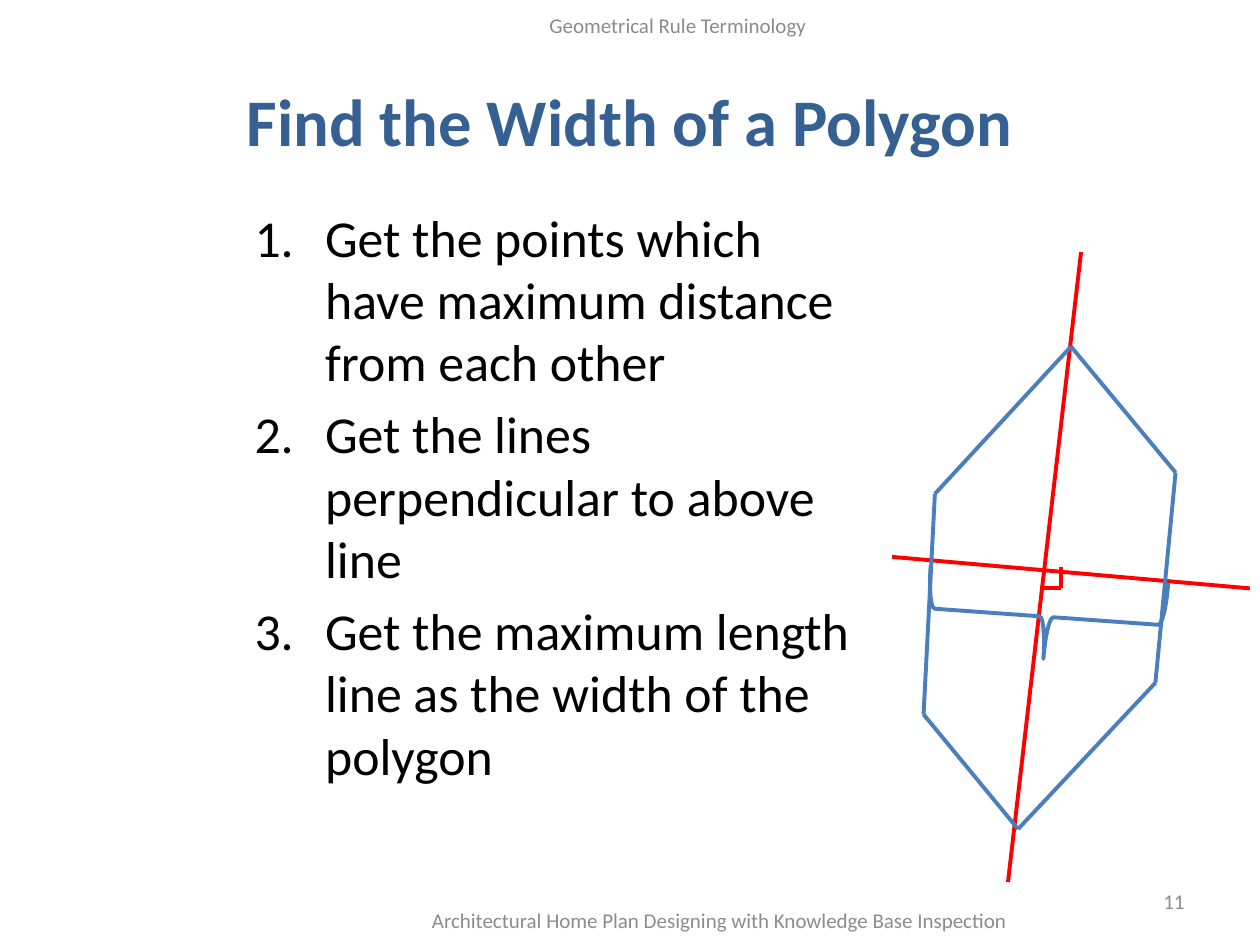
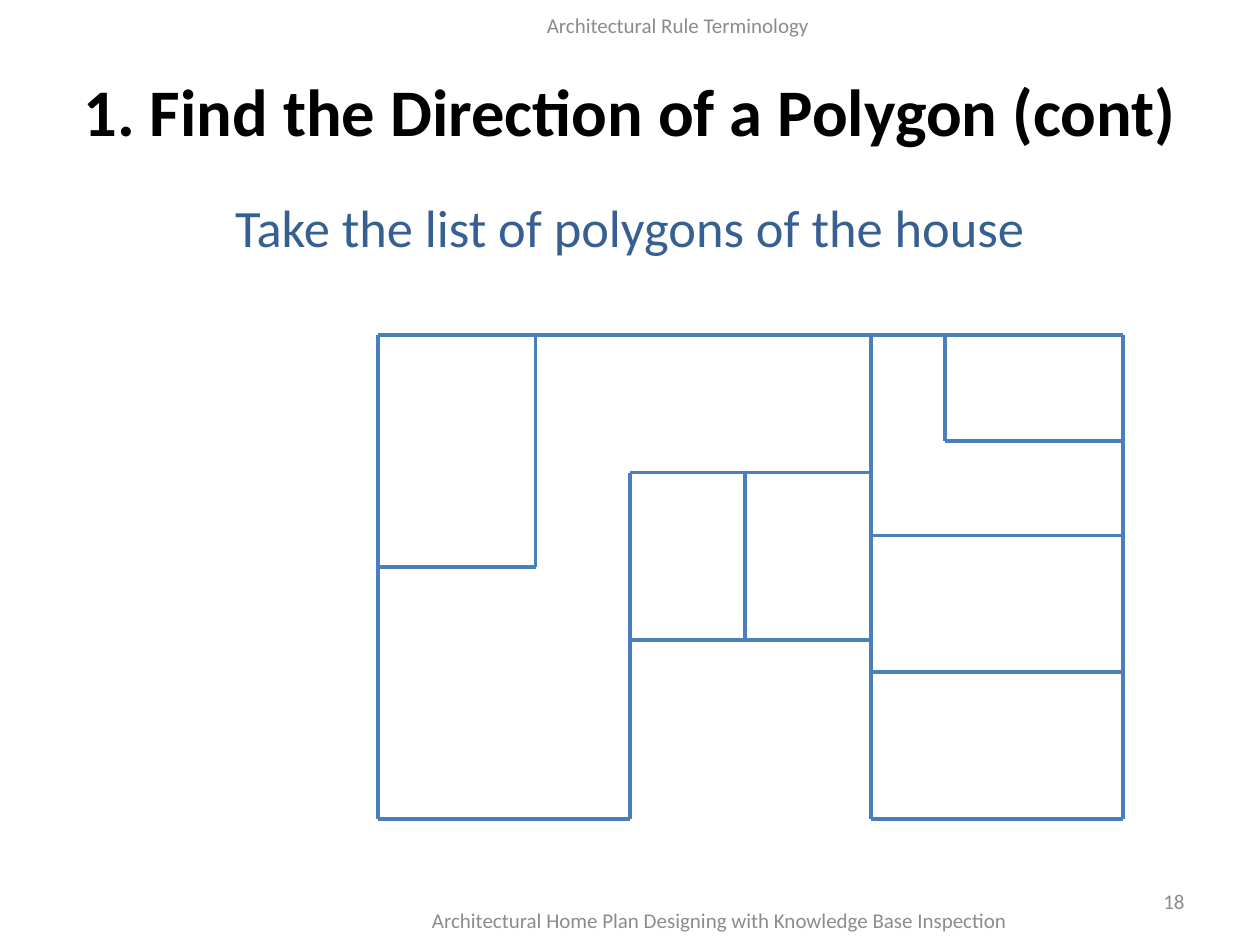
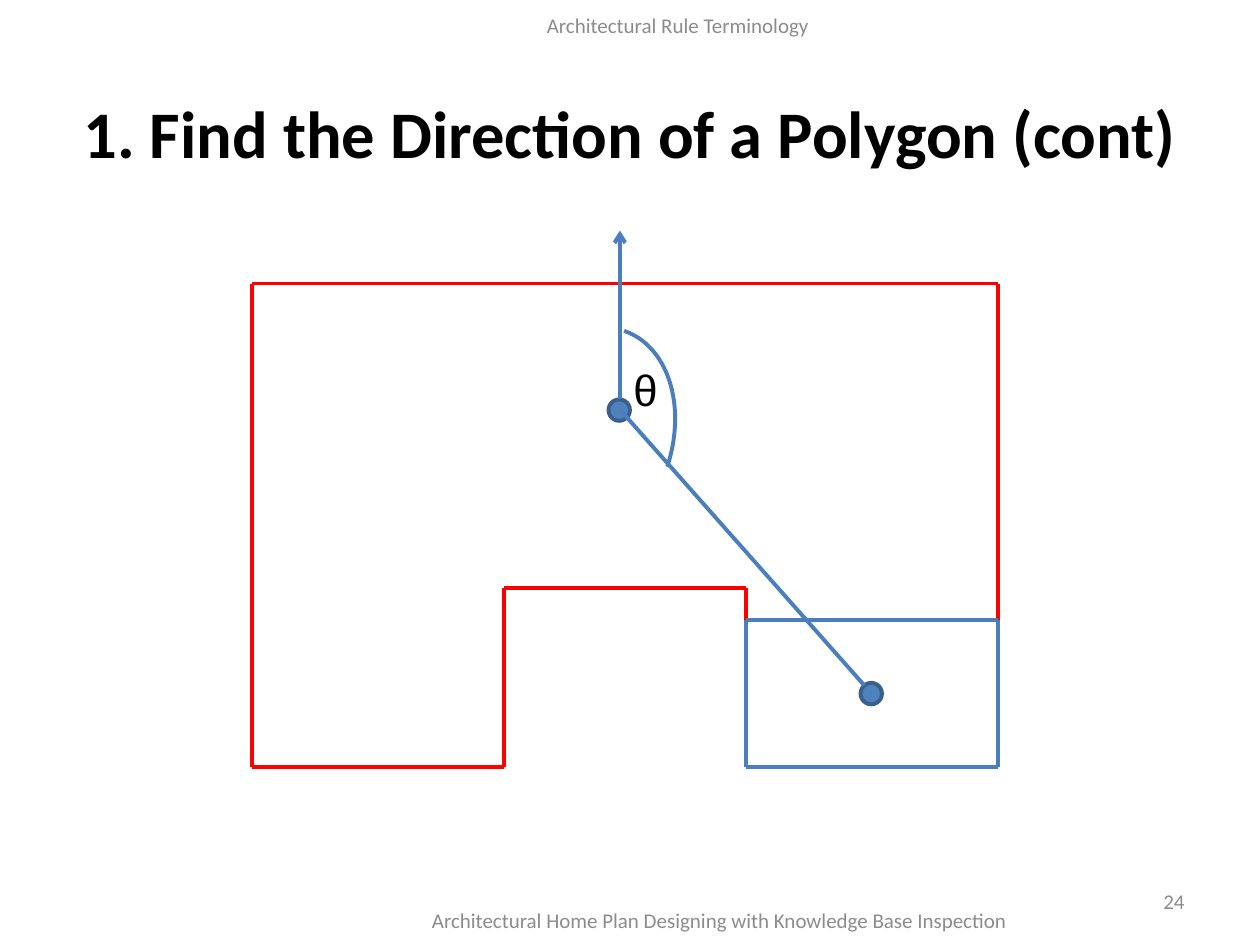
"""Build three slides on the width and direction of polygons in a house plan."""
from itertools import pairwise

from lxml.etree import SubElement
from pptx import Presentation
from pptx.dml.color import RGBColor
from pptx.enum.shapes import MSO_CONNECTOR, MSO_SHAPE
from pptx.enum.text import MSO_ANCHOR, MSO_AUTO_SIZE, PP_ALIGN
from pptx.oxml.ns import qn
from pptx.util import Inches, Pt

RED, BLUE, DARK_BLUE, DOT_BLUE, DOT_EDGE = "FF0000", "4B7EBC", "376092", "4F81BD", "3A5F8C"
BLACK, GREY = "000000", "8C8C8C"
STROKE = Pt(2.25)
HEADING = {"name": "Calibri", "size": Pt(38), "bold": True}
SUBHEADING = {"name": "Calibri", "size": Pt(30), "bold": False}
LIST = {"name": "Calibri", "size": Pt(29.6)}
SMALL = {"name": "Calibri", "size": Pt(12)}
SYMBOL = {"name": "Courier New", "size": Pt(25)}


def write(holder, place, lines, font, color, align=PP_ALIGN.CENTER, anchor=MSO_ANCHOR.MIDDLE):
    """Place a text holder and fill it with formatted paragraphs."""
    holder.left, holder.top, holder.width, holder.height = map(Inches, place)
    frame = holder.text_frame
    frame.text = "\n".join(lines)
    layout = {"word_wrap": True, "auto_size": MSO_AUTO_SIZE.NONE, "vertical_anchor": anchor}
    for key, value in layout.items():
        setattr(frame, key, value)
    for paragraph in frame.paragraphs:
        paragraph.alignment = align
        for key, value in font.items():
            setattr(paragraph.runs[0].font, key, value)
        paragraph.runs[0].font.color.rgb = RGBColor.from_string(color)


def draw_line(slide, start, end, color):
    """Draw a straight line without a shadow."""
    line = slide.shapes.add_connector(MSO_CONNECTOR.STRAIGHT, *map(Inches, (*start, *end)))
    line.line.color.rgb = RGBColor.from_string(color)
    line.line.width = STROKE
    SubElement(line._element.spPr, qn("a:effectLst"))
    return line


deck = Presentation()
deck.slide_width, deck.slide_height = Inches(10), Inches(7.5)
title_and_body, title_only = deck.slide_layouts[1], deck.slide_layouts[5]

direction_title = "1. Find the Direction of a Polygon (cont)"
pages = [
    (title_and_body, "Find the Width of a Polygon", DARK_BLUE, 0.33, "Geometrical", 11),
    (title_only, direction_title, BLACK, 0.25, "Architectural", 18),
    (title_only, direction_title, BLACK, 0.42, "Architectural", 24),
]
slides = []
for layout, title, color, top, topic, number in pages:
    slide = deck.slides.add_slide(layout)
    write(slide.shapes.title, (0.5, top, 9, 1.25), [title], HEADING, color)
    margins = [
        ((7.17, 6.95, 2.33, 0.4), str(number), PP_ALIGN.RIGHT),
        ((2.5, 7.1, 6.42, 0.4),
         "Architectural Home Plan Designing with Knowledge Base Inspection", PP_ALIGN.CENTER),
        ((2.17, 0, 6.42, 0.4), f"{topic} Rule Terminology", PP_ALIGN.CENTER),
    ]
    for place, text, align in margins:
        write(slide.shapes.add_textbox(0, 0, 0, 0), place, [text], SMALL, GREY, align)
    slides.append(slide)
width_slide, house_slide, angle_slide = slides

steps = width_slide.placeholders[1]
write(steps, (1.92, 1.58, 5, 4.95), [
    "Get the points which have maximum distance from each other",
    "Get the lines perpendicular to above line",
    "Get the maximum length line as the width of the polygon",
], LIST, BLACK, PP_ALIGN.LEFT, MSO_ANCHOR.TOP)
for step in steps.text_frame.paragraphs:
    properties = step._p.get_or_add_pPr()
    properties.set("marL", str(Inches(0.56)))
    properties.set("indent", str(-Inches(0.56)))
    SubElement(properties, qn("a:buFont"), typeface="+mj-lt")
    SubElement(properties, qn("a:buAutoNum"), type="arabicPeriod")

longest_axis = [(8.58, 2), (8, 7)]
perpendicular = [(9.92, 4.67), (7.08, 4.42)]
right_angle = [(8.25, 4.67), (8.42, 4.67), (8.42, 4.5)]
hexagon = [(8.5, 2.75), (9.33, 3.75), (9.17, 5.42), (8.08, 6.58),
           (7.33, 5.67), (7.42, 3.92), (8.5, 2.75)]
for points, color in [(longest_axis, RED), (perpendicular, RED),
                      (hexagon, BLUE), (right_angle, RED)]:
    for start, end in pairwise(points):
        draw_line(width_slide, start, end, color)

write(house_slide.shapes.add_textbox(0, 0, 0, 0), (0.5, 1.17, 9, 1.25),
      ["Take the list of polygons of the house"], SUBHEADING, DARK_BLUE)
house = [(3, 2.66), (8.91, 2.66), (8.91, 6.5), (6.91, 6.5), (6.91, 5.08),
         (5, 5.08), (5, 6.5), (3, 6.5), (3, 2.66)]
inner_walls = [
    [(4.25, 2.66), (4.25, 4.5), (3, 4.5)],
    [(5, 5.08), (5, 3.75), (6.91, 3.75)],
    [(5.91, 3.75), (5.91, 5.08)],
    [(6.91, 2.66), (6.91, 5.08)],
    [(7.5, 2.66), (7.5, 3.5), (8.91, 3.5)],
    [(6.91, 4.25), (8.91, 4.25)],
    [(6.91, 5.33), (8.91, 5.33)],
]
for wall in [house, *inner_walls]:
    for start, end in pairwise(wall):
        draw_line(house_slide, start, end, BLUE)

outline = [(x - 0.99 if x > 5 else x - 1, y - 0.41) for x, y in house]
room = [(5.92, 4.92), (7.92, 4.92), (7.92, 6.09), (5.92, 6.09), (5.92, 4.92)]
for points, color in [(outline, RED), (room, BLUE)]:
    for start, end in pairwise(points):
        draw_line(angle_slide, start, end, color)

curves = [
    (width_slide, MSO_SHAPE.LEFT_BRACE, (7.97, 3.95, 0.67, 1.89), 274.1, None, BLUE),
    (angle_slide, MSO_SHAPE.FLOWCHART_CONNECTOR, (4.83, 3.17, 0.17, 0.17), 0, DOT_BLUE, DOT_EDGE),
    (angle_slide, MSO_SHAPE.FLOWCHART_CONNECTOR, (6.83, 5.42, 0.17, 0.17), 0, DOT_BLUE, DOT_EDGE),
    (angle_slide, MSO_SHAPE.ARC, (4, 2.58, 1.33, 1.83), 18.4, None, BLUE),
]
for slide, preset, place, rotation, fill, edge in curves:
    curve = slide.shapes.add_shape(preset, *map(Inches, place))
    curve.rotation = rotation
    curve.shadow.inherit = False
    curve.line.color.rgb = RGBColor.from_string(edge)
    curve.line.width = STROKE
    if fill:
        curve.fill.solid()
        curve.fill.fore_color.rgb = RGBColor.from_string(fill)
    else:
        curve.fill.background()

north = draw_line(angle_slide, (4.92, 3.17), (4.92, 1.83), BLUE)
SubElement(north.line._get_or_add_ln(), qn("a:tailEnd"), type="arrow")
draw_line(angle_slide, (4.92, 3.25), (6.86, 5.44), BLUE)
write(angle_slide.shapes.add_textbox(0, 0, 0, 0), (4.92, 2.83, 0.42, 0.52), ["θ"],
      SYMBOL, BLACK, PP_ALIGN.LEFT, MSO_ANCHOR.TOP)

deck.save("out.pptx")
